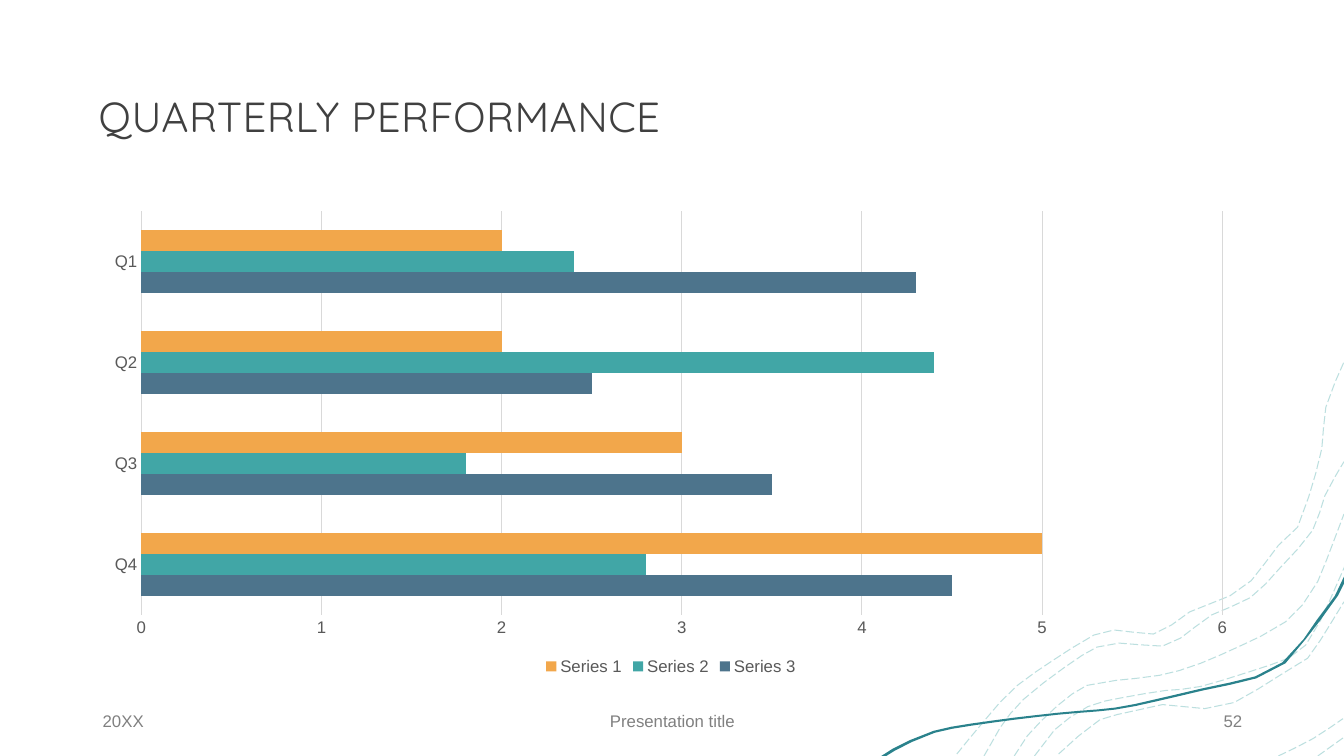
import math

import pptx
import pptx.chart.data
import pptx.dml.color
import pptx.enum.chart
import pptx.enum.dml
import pptx.enum.text
import pptx.oxml
import pptx.oxml.ns
import pptx.util

PX = 9144
FONT = "Arial"
GREY, TEXT_GREY, GRID_GREY = "808080", "595959", "D9D9D9"
TEAL, DARK_TEAL = "41A6A6", "2A828C"

CONTOURS = [
    [(949, 748), (978, 713), (1009, 680), (1063, 643), (1085, 630), (1105, 625),
     (1144, 629), (1162, 620), (1180, 607), (1220, 591), (1241, 576), (1268, 541),
     (1287, 523), (1298, 493), (1311, 445), (1315, 404), (1333, 359)],
    [(976, 750), (992, 722), (1015, 694), (1056, 662), (1088, 642), (1110, 638),
     (1153, 641), (1171, 633), (1202, 610), (1240, 593), (1270, 563), (1302, 526),
     (1314, 492), (1333, 458)],
    [(1307, 750), (1335, 730)],
    [(1268, 750), (1302, 733), (1332, 713)],
    [(1050, 748), (1070, 730), (1091, 714), (1126, 705), (1153, 699), (1195, 703),
     (1224, 697), (1271, 669), (1297, 653), (1333, 597)],
    [(1026, 750), (1046, 724), (1079, 701), (1114, 692), (1156, 685), (1191, 681),
     (1259, 660), (1278, 653), (1295, 640), (1310, 615), (1335, 559)],
    [(1006, 750), (1019, 730), (1049, 700), (1078, 680), (1107, 675), (1150, 670),
     (1191, 658), (1251, 631), (1275, 617), (1292, 600), (1307, 577), (1333, 510)],
]
BAND_LOWER = [
    (1335, 569), (1335, 575), (1327, 591), (1309, 616), (1295, 634), (1275, 658),
    (1246, 673), (1193, 685), (1146, 696), (1106, 704), (1050, 709), (984, 717),
    (927, 727), (887, 745), (879, 750)]
BAND_UPPER = [
    (874, 750), (885, 743), (926, 725), (983, 715), (1050, 707), (1106, 702),
    (1145, 694), (1192, 683), (1245, 671), (1272, 657), (1293, 634), (1306, 615),
    (1324, 591), (1333, 572)]


def color(value):
    return pptx.dml.color.RGBColor.from_string(value)


def smooth(points, spacing=22):
    padded = [points[0], *points, points[-1]]
    curve = [points[0]]
    for a, b, c, d in zip(padded, padded[1:], padded[2:], padded[3:]):
        steps = max(1, round(math.dist(b, c) / spacing))
        for step in range(1, steps + 1):
            t = step / steps
            curve.append(tuple(
                (2 * q + (r - p) * t + (2 * p - 5 * q + 4 * r - s) * t ** 2
                 + (3 * q - p - 3 * r + s) * t ** 3) / 2
                for p, q, r, s in zip(a, b, c, d)))
    return curve


class Deck:
    def __init__(self, width, height):
        self.presentation = pptx.Presentation()
        self.presentation.slide_width = width * PX
        self.presentation.slide_height = height * PX
        self.slide = self.presentation.slides.add_slide(self.presentation.slide_layouts[6])

    def outline(self, points, close):
        scaled = [(round(x * PX), round(y * PX)) for x, y in points]
        builder = self.slide.shapes.build_freeform(*scaled[0])
        builder.add_line_segments(scaled[1:], close=close)
        shape = builder.convert_to_shape()
        shape.shadow.inherit = False
        return shape

    def contour(self, points):
        shape = self.outline(smooth(points), False)
        shape.fill.background()
        shape.line.color.rgb = color(TEAL)
        shape.line.width = pptx.util.Pt(0.75)
        shape.line.dash_style = pptx.enum.dml.MSO_LINE.LONG_DASH
        shade = shape.line._ln.find(".//" + pptx.oxml.ns.qn("a:srgbClr"))
        alpha = pptx.oxml.parse_xml(f'<a:alpha {pptx.oxml.ns.nsdecls("a")} val="35000"/>')
        shade.append(alpha)

    def band(self, lower, upper):
        shape = self.outline(smooth(lower) + smooth(upper), True)
        shape.fill.solid()
        shape.fill.fore_color.rgb = color(DARK_TEAL)
        shape.line.fill.background()

    def style(self, font, size, shade, name=FONT):
        font.name = name
        font.size = pptx.util.Pt(size)
        font.color.rgb = color(shade)

    def text(self, words, box, size=12, shade=GREY, name=FONT, align="LEFT"):
        shape = self.slide.shapes.add_textbox(*(length * PX for length in box))
        frame = shape.text_frame
        frame.word_wrap = True
        frame.vertical_anchor = pptx.enum.text.MSO_ANCHOR.MIDDLE
        paragraph = frame.paragraphs[0]
        paragraph.text = words
        paragraph.alignment = pptx.enum.text.PP_ALIGN[align]
        self.style(paragraph.font, size, shade, name)
        return paragraph

    def bar_chart(self, categories, series, box):
        data = pptx.chart.data.CategoryChartData()
        data.categories = categories
        for name, values, _ in series:
            data.add_series(name, values)
        chart = self.slide.shapes.add_chart(
            pptx.enum.chart.XL_CHART_TYPE.BAR_CLUSTERED,
            *(length * PX for length in box), data).chart
        self.style(chart.font, 10, "000000")
        chart.has_title = False
        chart.has_legend = True
        chart.legend.position = pptx.enum.chart.XL_LEGEND_POSITION.BOTTOM
        chart.legend.include_in_layout = False
        self.style(chart.legend.font, 12, TEXT_GREY)
        plot = chart.plots[0]
        plot.gap_width = 182
        plot.vary_by_categories = False
        for bars, (_, _, shade) in zip(plot.series, series):
            bars.format.fill.solid()
            bars.format.fill.fore_color.rgb = color(shade)
        for axis in (chart.category_axis, chart.value_axis):
            axis.major_tick_mark = pptx.enum.chart.XL_TICK_MARK.NONE
            axis.minor_tick_mark = pptx.enum.chart.XL_TICK_MARK.NONE
            self.style(axis.tick_labels.font, 12, TEXT_GREY)
        chart.category_axis.has_major_gridlines = False
        chart.value_axis.has_major_gridlines = True
        chart.value_axis.minimum_scale = 0
        chart.value_axis.maximum_scale = 6
        chart.value_axis.major_unit = 1
        chart.value_axis.format.line.fill.background()
        for line in (chart.category_axis.format.line,
                     chart.value_axis.major_gridlines.format.line):
            line.color.rgb = color(GRID_GREY)
            line.width = pptx.util.Pt(0.75)


def main():
    deck = Deck(1333, 750)
    for points in CONTOURS:
        deck.contour(points)
    deck.band(BAND_LOWER, BAND_UPPER)
    title = deck.text("QUARTERLY PERFORMANCE", (88, 45, 1200, 145), 30, "404040", "Quicksand")
    title.line_spacing = 0.9
    title.runs[0].font._element.set("spc", "30")
    deck.text("20XX", (92, 695, 300, 40))
    deck.text("Presentation title", (442, 695, 450, 40), align="CENTER")
    deck.text("52", (942, 695, 300, 40), align="RIGHT")
    deck.bar_chart(
        ["Q4", "Q3", "Q2", "Q1"],
        [("Series 3", (4.5, 3.5, 2.5, 4.3), "4D748C"),
         ("Series 2", (2.8, 1.8, 4.4, 2.4), TEAL),
         ("Series 1", (5, 3, 2, 2), "F2A74B")],
        (91, 200, 1149, 474))
    deck.presentation.save("out.pptx")


if __name__ == "__main__":
    main()
